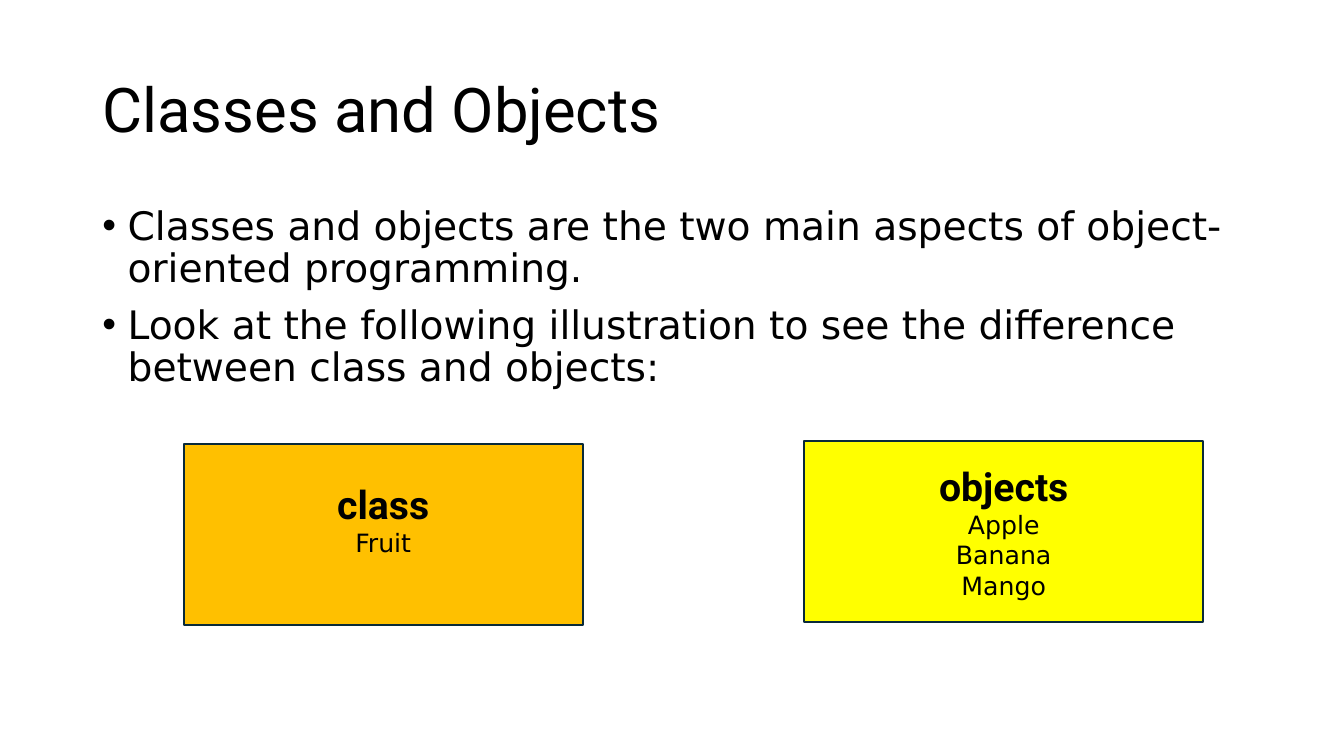
from dataclasses import dataclass

from lxml.etree import SubElement
from pptx import Presentation
from pptx.dml.color import RGBColor
from pptx.enum.shapes import MSO_SHAPE
from pptx.enum.text import MSO_ANCHOR, MSO_AUTO_SIZE, PP_ALIGN
from pptx.oxml.ns import qn
from pptx.slide import Slide
from pptx.text.text import _Paragraph as Paragraph
from pptx.util import Emu, Pt

EMU_PER_PX = 9525
BLACK = RGBColor(0x00, 0x00, 0x00)
ORANGE = RGBColor(0xFF, 0xC0, 0x00)
YELLOW = RGBColor(0xFF, 0xFF, 0x00)
OUTLINE = RGBColor(0x09, 0x2A, 0x39)
HEADING_FONT = "Roboto"
BODY_FONT = "DejaVu Sans"
BULLET_INDENT = 24
BOX_WIDTH = 380
BOX_HEIGHT = 172

TITLE = "Classes and Objects"
BULLETS = [
    "Classes and objects are the two main aspects of object-oriented programming.",
    "Look at the following illustration to see the difference between class and objects:",
]


@dataclass(frozen=True)
class Box:
    left: int
    top: int
    fill: RGBColor
    heading: str
    members: list[str]
    bottom_inset: int


BOXES = [
    Box(175, 423, ORANGE, "class", ["Fruit"], 34),
    Box(766, 420, YELLOW, "objects", ["Apple", "Banana", "Mango"], 5),
]


def px(length: int) -> Emu:
    return Emu(length * EMU_PER_PX)


def place(shape, left: int, top: int, width: int, height: int) -> None:
    shape.left, shape.top = px(left), px(top)
    shape.width, shape.height = px(width), px(height)


def format_runs(paragraph: Paragraph, font: str, size: int, bold: bool = False) -> None:
    for run in paragraph.runs:
        run.font.name = font
        run.font.size = Pt(size)
        run.font.bold = bold
        run.font.color.rgb = BLACK


def add_bullet(paragraph: Paragraph) -> None:
    properties = paragraph._p.get_or_add_pPr()
    properties.set("marL", str(px(BULLET_INDENT)))
    properties.set("indent", str(-px(BULLET_INDENT)))
    SubElement(properties, qn("a:buFont")).set("typeface", "Arial")
    SubElement(properties, qn("a:buChar")).set("char", "•")


def fill_title(slide: Slide) -> None:
    title = slide.shapes.title
    place(title, 88, 38, 1104, 139)
    frame = title.text_frame
    frame.text = TITLE
    frame.auto_size = MSO_AUTO_SIZE.NONE
    frame.vertical_anchor = MSO_ANCHOR.MIDDLE
    paragraph = frame.paragraphs[0]
    paragraph.alignment = PP_ALIGN.LEFT
    paragraph.line_spacing = 0.9
    format_runs(paragraph, HEADING_FONT, 44)


def fill_body(slide: Slide) -> None:
    body = slide.placeholders[1]
    place(body, 88, 192, 1104, 457)
    frame = body.text_frame
    frame.text = "\n".join(BULLETS)
    frame.auto_size = MSO_AUTO_SIZE.NONE
    for paragraph in frame.paragraphs:
        paragraph.line_spacing = 0.9
        paragraph.space_before = Pt(10)
        add_bullet(paragraph)
        format_runs(paragraph, BODY_FONT, 28)


def draw_box(slide: Slide, box: Box) -> None:
    shape = slide.shapes.add_shape(
        MSO_SHAPE.RECTANGLE, px(box.left), px(box.top), px(BOX_WIDTH), px(BOX_HEIGHT)
    )
    shape.shadow.inherit = False
    shape.fill.solid()
    shape.fill.fore_color.rgb = box.fill
    shape.line.color.rgb = OUTLINE
    shape.line.width = Pt(1.5)
    frame = shape.text_frame
    frame.text = "\n".join([box.heading, *box.members])
    frame.vertical_anchor = MSO_ANCHOR.MIDDLE
    frame.margin_bottom = px(box.bottom_inset)
    heading, *members = frame.paragraphs
    format_runs(heading, HEADING_FONT, 28, bold=True)
    for member in members:
        format_runs(member, BODY_FONT, 18)
    for paragraph in frame.paragraphs:
        paragraph.alignment = PP_ALIGN.CENTER


def main() -> None:
    presentation = Presentation()
    presentation.slide_width = px(1280)
    presentation.slide_height = px(720)
    slide = presentation.slides.add_slide(presentation.slide_layouts[1])
    fill_title(slide)
    fill_body(slide)
    for box in BOXES:
        draw_box(slide, box)
    presentation.save("out.pptx")


if __name__ == "__main__":
    main()
